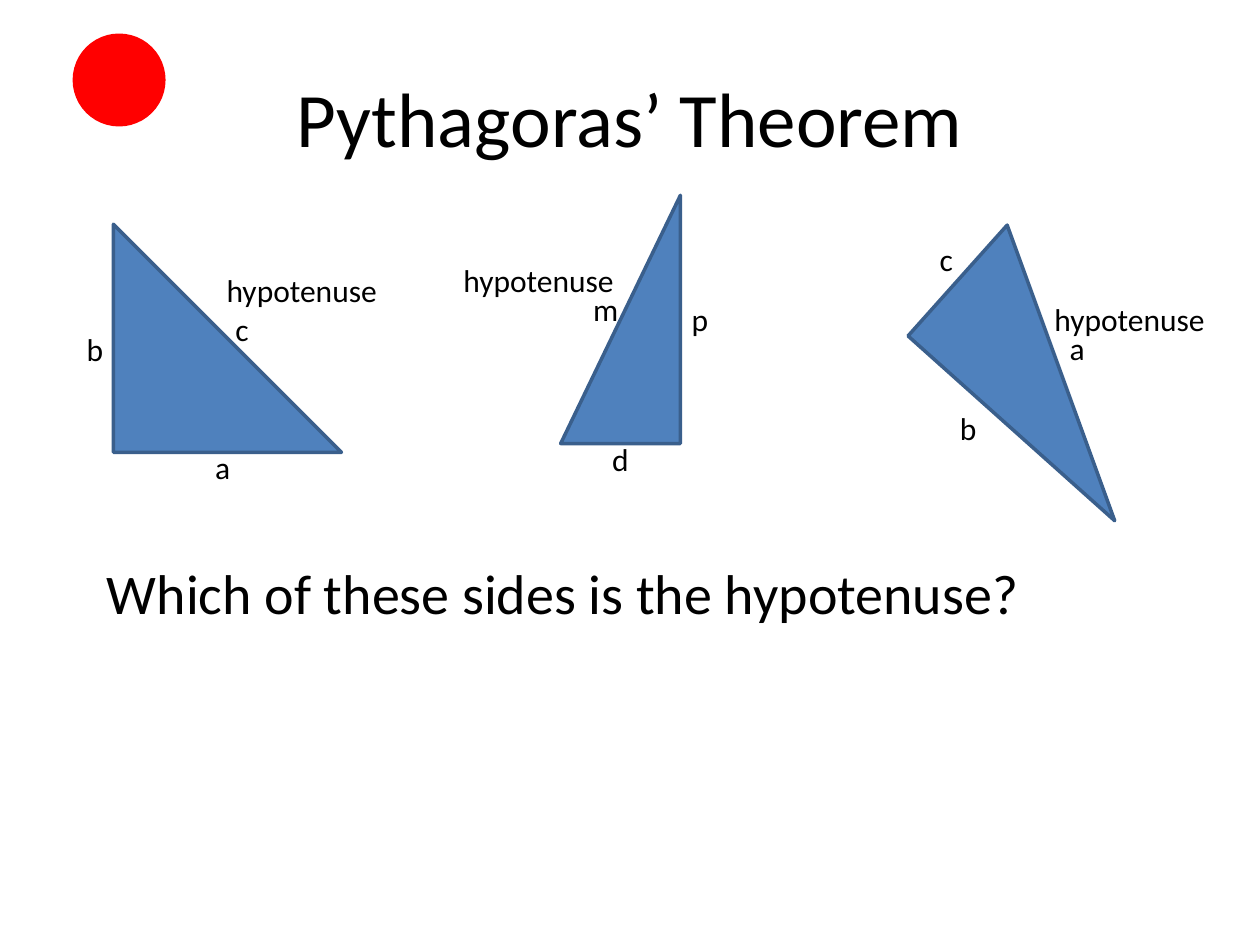
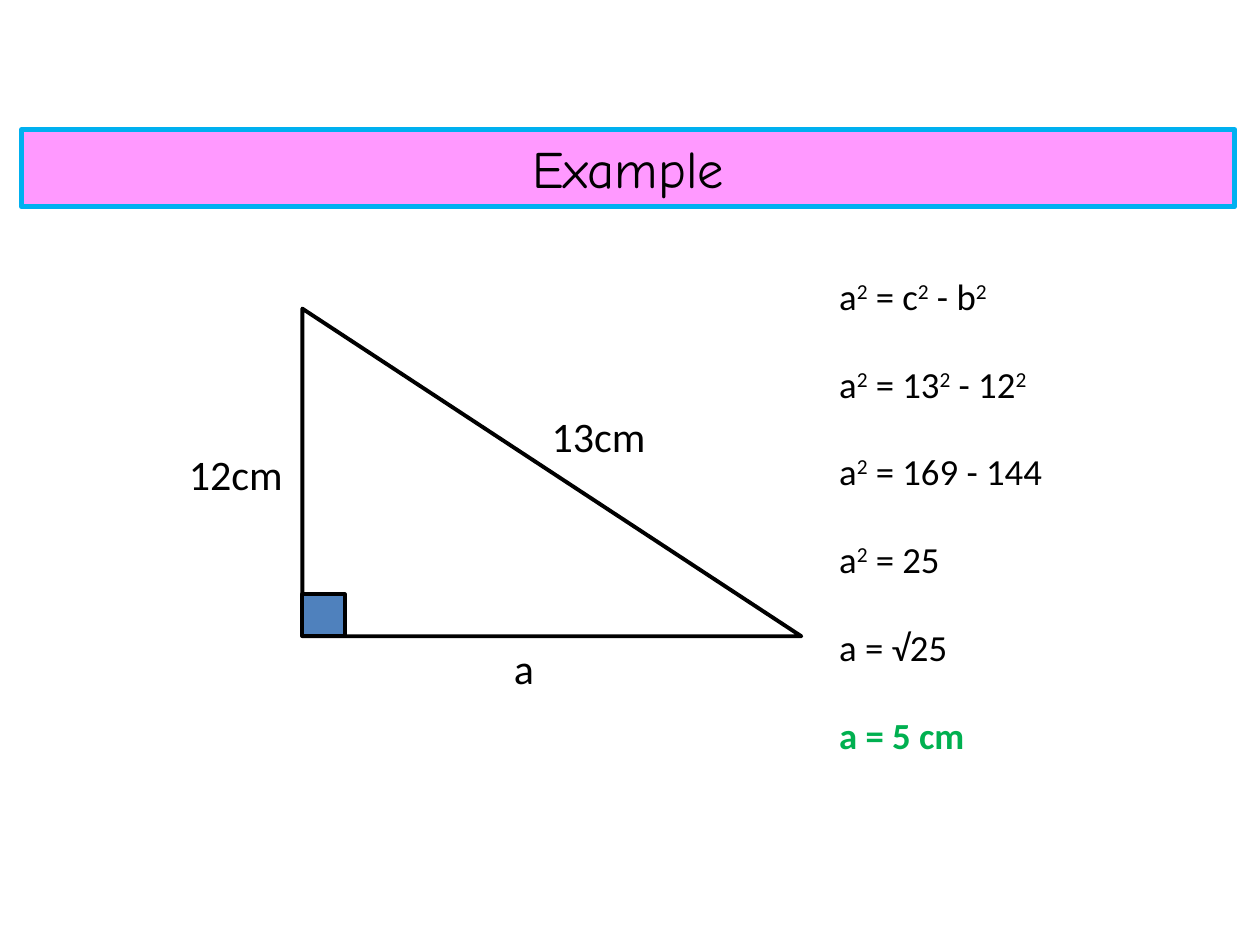
import pptx
import pptx.util
import pptx.dml.color
import pptx.enum.shapes
import pptx.enum.text
import pptx.oxml.ns

COLS = 100
WIDE, HIGH = pptx.util.Inches(10), pptx.util.Inches(7.5)
CELL = WIDE / COLS  # square grid cell: 100 columns by 75 rows

BLACK, WHITE, RED = "000000", "FFFFFF", "FF0000"
BLUE, NAVY, SKY = "4F81BD", "3A5F8C", "00B0F0"
PINK, GREEN = "FF99FF", "00B050"

KIND = pptx.enum.shapes.MSO_SHAPE
ALIGN = pptx.enum.text.PP_ALIGN
ANCHOR = pptx.enum.text.MSO_ANCHOR
FIT = pptx.enum.text.MSO_AUTO_SIZE


def paint(form, hue):
    """Set a fill or a font to one solid colour."""
    if hasattr(form, "solid"):
        form.solid()
        form = form.fore_color
    else:
        form = form.color
    form.rgb = pptx.dml.color.RGBColor.from_string(hue)


def span(*cells):
    return [round(n * CELL) for n in cells]


def place(shape, *cells):
    shape.left, shape.top, shape.width, shape.height = span(*cells)


def trim(shape, fill, line, weight):
    paint(shape.fill, fill)
    paint(shape.line.fill, line)
    shape.line.width = pptx.util.Pt(weight)


def draw(slide, kind, cells, fill, line, weight=2, turn=0):
    shape = slide.shapes.add_shape(kind, *span(*cells))
    shape.shadow.inherit = False
    shape.rotation = turn
    trim(shape, fill, line, weight)


def write(para, text, size=18, face="Calibri", hue=BLACK, bold=False,
          align=ALIGN.LEFT, before=0):
    """Fill a paragraph; each ² becomes a raised 2."""
    para.alignment = align
    para.space_before = pptx.util.Pt(before)
    parts = text.replace("²", "\n2\n").split("\n")
    for spot, part in enumerate(parts):
        if not part:
            continue
        run = para.add_run()
        run.text = part
        font = run.font
        font.name, font.size, font.bold = face, pptx.util.Pt(size), bold
        paint(font, hue)
        if spot % 2:
            run._r.get_or_add_rPr().set("baseline", "30000")


def label(slide, text, left, top, width, height=4, **style):
    frame = slide.shapes.add_textbox(*span(left, top, width, height)).text_frame
    frame.word_wrap = True
    write(frame.paragraphs[0], text, **style)


def title(slide, text, cells, anchor=ANCHOR.MIDDLE, **style):
    shape = slide.shapes.title
    place(shape, *cells)
    frame = shape.text_frame
    frame.auto_size, frame.vertical_anchor = FIT.NONE, anchor
    write(frame.paragraphs[0], text, align=ALIGN.CENTER, **style)
    return shape


def plain(para):
    """Drop the bullet and its hanging indent."""
    props = para._p.get_or_add_pPr()
    props.set("marL", "0")
    props.set("indent", "0")
    props.append(pptx.oxml.parse_xml(
        "<a:buNone %s/>" % pptx.oxml.ns.nsdecls("a")))


def steps(slide, lines, cells, size, gap):
    """Write the working, with the answer last in bold green."""
    body = slide.placeholders[1]
    place(body, *cells)
    frame = body.text_frame
    frame.auto_size = FIT.NONE
    for spot, line in enumerate(lines):
        para = frame.add_paragraph() if spot else frame.paragraphs[0]
        plain(para)
        last = spot == len(lines) - 1
        write(para, line, size=size, before=gap if spot else 0,
              bold=last, hue=GREEN if last else BLACK)


def theorem(slide):
    title(slide, "Pythagoras’ Theorem", (5, 3, 90, 12.5), size=44)
    draw(slide, KIND.OVAL, (5.9, 2.8, 7.1, 7.1), RED, RED)
    for cells, turn in (
        ((9, 17.8, 18.1, 18.1), 0),
        ((39.4, 20.6, 19.7, 9.5), 270),
        ((73.2, 23.7, 22, 11.8), 41.8),
    ):
        draw(slide, KIND.RIGHT_TRIANGLE, cells, BLUE, NAVY, turn=turn)
    for text, left, top in (
        ("a", 16.1, 35.1), ("b", 5.9, 25.7), ("c", 17.7, 24.1),
        ("d", 47.6, 34.4), ("p", 53.9, 23.3), ("m", 46.1, 22.5),
        ("c", 73.6, 18.6), ("a", 83.9, 25.6), ("b", 75.2, 32),
    ):
        label(slide, text, left, top, 4.7)
    for left, top in ((17, 21), (82.7, 23.3), (35.8, 20.2)):
        label(slide, "hypotenuse", left, top, 17.3)
    label(slide, "Which of these sides is the hypotenuse?",
          7.5, 43.8, 85.8, 6.4, size=32)


def example(slide):
    band = title(slide, "Example", (1.7, 10.3, 96.3, 6.1), ANCHOR.TOP,
                 size=30, face="Comic Neue")
    trim(band, PINK, SKY, 3)
    left, foot, tall, mark = 24, 50.5, 26, 3.35
    draw(slide, KIND.RIGHT_TRIANGLE, (left, foot - tall, 39.6, tall),
         WHITE, BLACK, 2.25)
    draw(slide, KIND.RECTANGLE, (left, foot - mark, mark, mark),
         BLUE, BLACK, 2.25)
    for text, x, y in (("12cm", 14, 35.1), ("a", 39.8, foot),
                       ("13cm", 42.8, 32.1)):
        label(slide, text, x, y, 10, 5, size=24)
    steps(slide, ("a² = c² - b²", "a² = 13² - 12²", "a² = 169 - 144",
                  "a² = 25", "a = √25", "a = 5 cm"),
          (65.6, 21.2, 21.9, 39.9), size=21, gap=25)


def main():
    deck = pptx.Presentation()
    deck.slide_width, deck.slide_height = WIDE, HIGH
    for build, kind in ((theorem, 5), (example, 1)):
        build(deck.slides.add_slide(deck.slide_layouts[kind]))
    deck.save("out.pptx")


if __name__ == "__main__":
    main()
